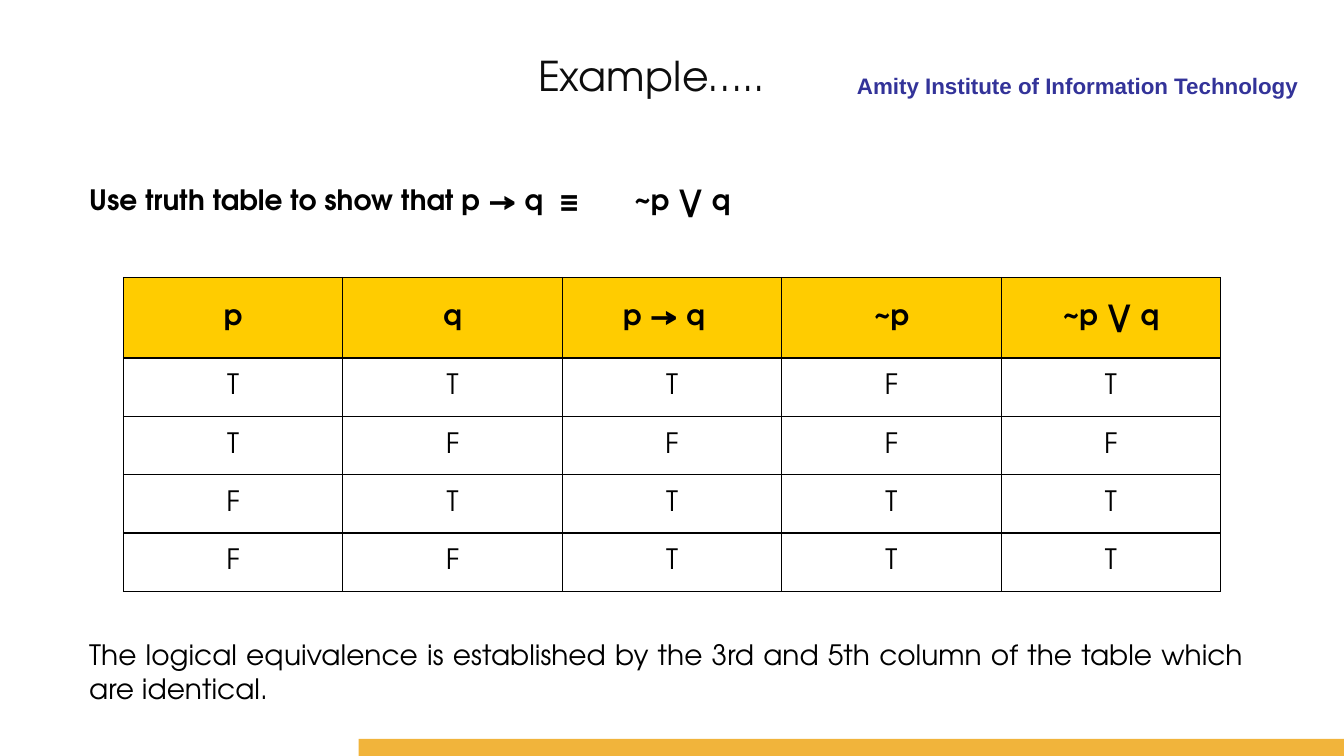
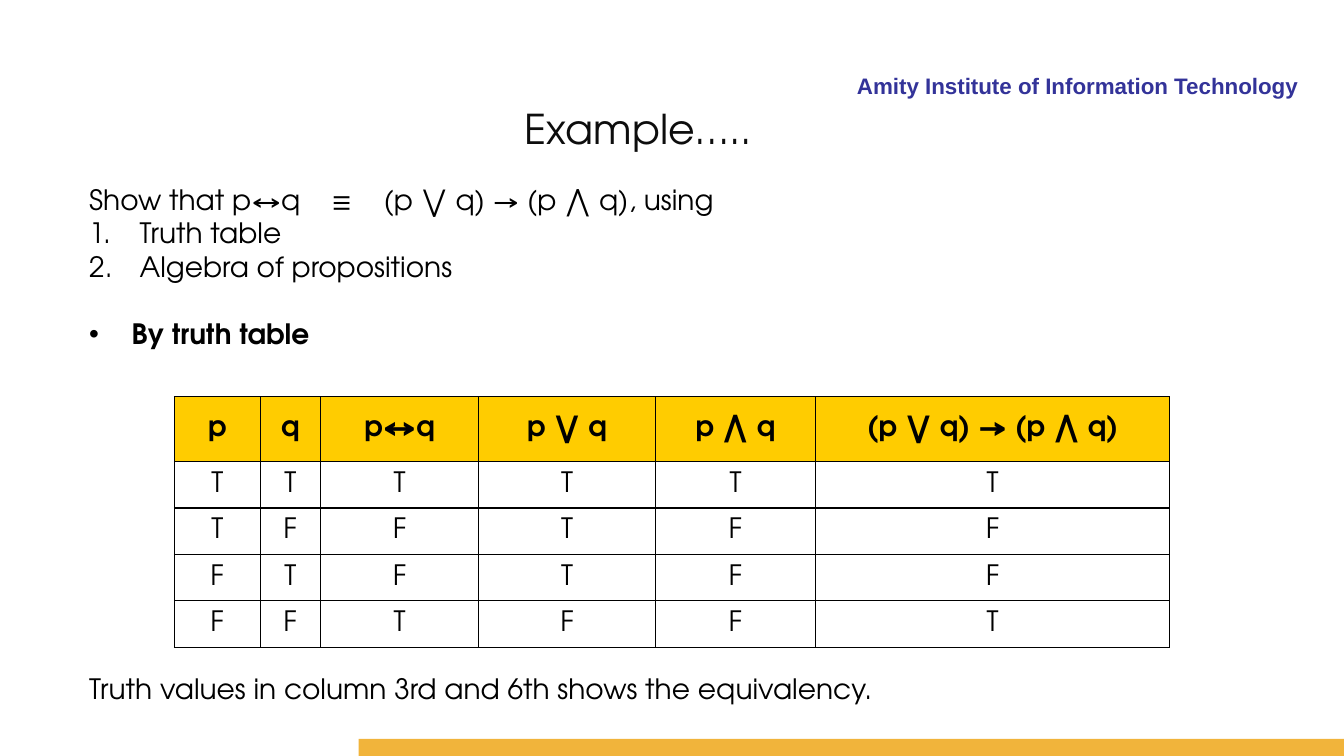
from lxml.etree import SubElement
from pptx import Presentation
from pptx.dml.color import RGBColor
from pptx.enum.shapes import MSO_SHAPE
from pptx.enum.text import MSO_ANCHOR, MSO_AUTO_SIZE, PP_ALIGN
from pptx.oxml.ns import qn
from pptx.util import Cm, Pt

SLIDE_WIDTH, SLIDE_HEIGHT = 33.87, 19.05
TEXT_LEFT, TEXT_WIDTH = 2, 29.59
BLACK, GOLD = "000000", "FFCC00"
BODY = {"name": "TeX Gyre Adventor", "size": Pt(20), "bold": False, "color": BLACK}
STRONG = BODY | {"bold": True}
TITLE = BODY | {"size": Pt(29.3), "color": "0D0D0D"}
INSTITUTE = {"name": "Arial", "size": Pt(16), "bold": True, "color": "333399"}


def rgb(value):
    return RGBColor.from_string(value)


def write(paragraph, text, style, align=PP_ALIGN.JUSTIFY):
    paragraph.alignment = align
    run = paragraph.add_run()
    run.text = text
    for key, value in style.items():
        if key == "color":
            run.font.color.rgb = rgb(value)
        else:
            setattr(run.font, key, value)


def set_bullet(paragraph, indent, char=None):
    """Hang a bullet character, or an automatic number if there is none."""
    properties = paragraph._p.get_or_add_pPr()
    properties.set("marL", str(Cm(indent)))
    properties.set("indent", str(-Cm(indent)))
    if char:
        SubElement(properties, qn("a:buFont"), typeface="Arial")
        SubElement(properties, qn("a:buChar"), char=char)
    else:
        SubElement(properties, qn("a:buAutoNum"), type="arabicPeriod")


def set_tabs(paragraph, stops):
    tab_list = SubElement(paragraph._p.get_or_add_pPr(), qn("a:tabLst"))
    for stop in stops:
        SubElement(tab_list, qn("a:tab"), pos=str(Cm(stop)), algn="l")


def add_frame(slide, left, top, width, height, wrap=True):
    frame = slide.shapes.add_textbox(Cm(left), Cm(top), Cm(width), Cm(height)).text_frame
    frame.word_wrap = wrap
    frame.auto_size = MSO_AUTO_SIZE.SHAPE_TO_FIT_TEXT
    return frame


def add_body(slide, top, height, text, style=BODY, tabs=()):
    frame = add_frame(slide, TEXT_LEFT, top, TEXT_WIDTH, height)
    if tabs:
        set_tabs(frame.paragraphs[0], tabs)
    write(frame.paragraphs[0], text, style)
    return frame


def add_example_slide(deck, title_left, title_top):
    """Add a slide with the institute line, the bottom band and the title."""
    slide = deck.slides.add_slide(deck.slide_layouts[6])
    institute = add_frame(slide, 12.93, 1.7, 20.04, 0.84)
    write(institute.paragraphs[0], "Amity Institute of Information Technology",
          INSTITUTE, PP_ALIGN.RIGHT)
    band_left, band_top = 9.04, 18.62
    band = slide.shapes.add_shape(
        MSO_SHAPE.RECTANGLE, Cm(band_left), Cm(band_top),
        Cm(SLIDE_WIDTH - band_left), Cm(SLIDE_HEIGHT - band_top))
    band.shadow.inherit = False
    band.fill.solid()
    band.fill.fore_color.rgb = rgb("F1B43B")
    band.line.fill.background()
    title = add_frame(slide, title_left, title_top, 6.5, 1.5, wrap=False)
    write(title.paragraphs[0], "Example…..", TITLE, PP_ALIGN.LEFT)
    return slide


def set_borders(cell):
    properties = cell._tc.get_or_add_tcPr()
    for position, side in enumerate(("lnL", "lnR", "lnT", "lnB")):
        line = properties.makeelement(qn(f"a:{side}"), {"w": str(Pt(1))})
        fill = SubElement(line, qn("a:solidFill"))
        SubElement(fill, qn("a:srgbClr"), val=BLACK)
        properties.insert(position, line)


def add_truth_table(slide, top, widths, header_height, row_height, headings, rows):
    """Add a table centred on the slide; each row is a string of T and F."""
    heights = [header_height] + [row_height] * len(rows)
    left = (SLIDE_WIDTH - sum(widths)) / 2
    table = slide.shapes.add_table(
        len(heights), len(widths), Cm(left), Cm(top),
        Cm(sum(widths)), Cm(sum(heights))).table
    table.first_row = table.horz_banding = False
    for column, width in zip(table.columns, widths):
        column.width = Cm(width)
    for row, height in zip(table.rows, heights):
        row.height = Cm(height)
    for row_index, values in enumerate([headings, *rows]):
        for column_index, value in enumerate(values):
            cell = table.cell(row_index, column_index)
            cell.vertical_anchor = MSO_ANCHOR.MIDDLE
            if row_index == 0:
                cell.fill.solid()
                cell.fill.fore_color.rgb = rgb(GOLD)
            else:
                cell.fill.background()
            set_borders(cell)
            write(cell.text_frame.paragraphs[0], value,
                  BODY if row_index else STRONG, PP_ALIGN.CENTER)
    return table


def build_implication(deck):
    slide = add_example_slide(deck, 13.31, 1.14)
    add_body(slide, 4.47, 1.12, "Use truth table to show that p → q\t≡\t~p ⋁ q",
             STRONG, tabs=(11.84, 13.73))
    add_body(slide, 15.95, 1.96,
             "The logical equivalence is established by the 3rd and 5th column "
             "of the table which are identical.")
    table = add_truth_table(
        slide, 6.99, [5.53] * 5, 2.03, 1.47,
        ["p", "q", "p → q", "~p", "~p ⋁ q"],
        ["TTTFT", "TFFFF", "FTTTT", "FFTTT"])
    table.cell(0, 2).margin_right = Cm(0.66)


def build_biconditional(deck):
    slide = add_example_slide(deck, 12.98, 2.49)
    task = add_body(slide, 4.47, 4.52,
                    "Show that p↔q\t≡\t(p ⋁ q) → (p ⋀ q), using",
                    tabs=(6.11, 7.42))
    for method in ("Truth table", "Algebra of propositions"):
        step = task.add_paragraph()
        set_bullet(step, 1.27)
        write(step, method, BODY)
    first_method = task.add_paragraph()
    set_bullet(first_method, 1.07, "•")
    first_method.space_before = Pt(24)
    write(first_method, "By truth table", STRONG)
    add_body(slide, 16.79, 1.12,
             "Truth values in column 3rd and 6th shows the equivalency.")
    add_truth_table(
        slide, 10, [2.16, 1.52, 3.99, 4.45, 4.04, 8.92], 1.63, 1.17,
        ["p", "q", "p↔q", "p ⋁ q", "p ⋀ q", "(p ⋁ q) → (p ⋀ q)"],
        ["TTTTTT", "TFFTFF", "FTFTFF", "FFTFFT"])


def main():
    deck = Presentation()
    deck.slide_width, deck.slide_height = Cm(SLIDE_WIDTH), Cm(SLIDE_HEIGHT)
    build_implication(deck)
    build_biconditional(deck)
    deck.save("out.pptx")


if __name__ == "__main__":
    main()
